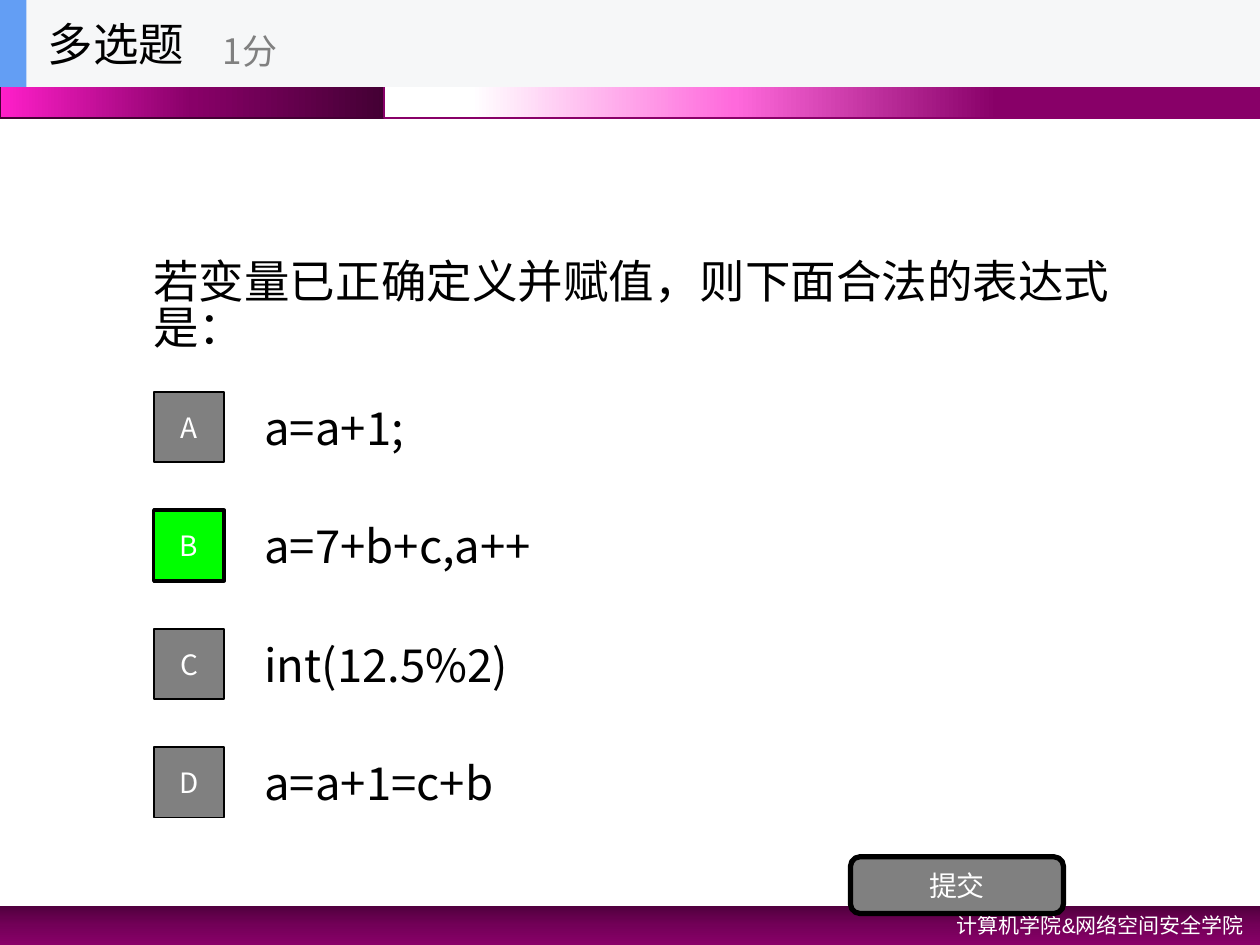
import dataclasses
import typing

import lxml.etree
import pptx
import pptx.dml.color
import pptx.enum.shapes
import pptx.enum.text
import pptx.oxml.ns
import pptx.util

Inches = pptx.util.Inches
Shapes = pptx.enum.shapes.MSO_SHAPE
Align = pptx.enum.text.PP_ALIGN
Anchor = pptx.enum.text.MSO_ANCHOR
qn = pptx.oxml.ns.qn

FONT = "Noto Sans CJK SC"
COLORS = {
    "black": "000000",
    "white": "FFFFFF",
    "gray": "808080",
    "correct": "00FF00",
    "header": "F6F7F8",
    "accent": "639EF4",
    "plum": "880068",
    "dark_plum": "440034",
    "deep_plum": "51003E",
    "mid_plum": "730058",
    "magenta": "FF1FCA",
    "pink": "FF69DC",
}
OPTION_TOP = 3.04
OPTION_STEP = 0.94


class Box(typing.NamedTuple):
    left: float
    top: float
    width: float
    height: float

    def lengths(self) -> list:
        return [Inches(value) for value in self]


@dataclasses.dataclass
class Band:
    box: Box
    stops: list
    angle: int
    line: str | None = None


@dataclasses.dataclass
class Option:
    letter: str
    answer: str
    fill: str = "gray"
    line_width: float = 1


BANDS = [
    Band(Box(0, 7.19, 10, 0.31), [(0, "deep_plum"), (50, "mid_plum"), (100, "plum")], 90),
    Band(Box(0, 0, 3.05, 0.94), [(0, "dark_plum"), (50, "plum"), (100, "magenta")], 180, "dark_plum"),
    Band(Box(3.05, 0, 6.95, 0.94), [(30, "plum"), (60, "pink"), (90, "white")], 180, "plum"),
]
OPTIONS = [
    Option("A", "a=a+1;"),
    Option("B", "a=7+b+c,a++", "correct", 2),
    Option("C", "int(12.5%2)"),
    Option("D", "a=a+1=c+b"),
]


def rgb(color: str) -> pptx.dml.color.RGBColor:
    return pptx.dml.color.RGBColor.from_string(COLORS[color])


def write_text(shape, text: str, *, size: float, color: str = "black", font: str = FONT,
               align=Align.LEFT, anchor=Anchor.MIDDLE, line_spacing: float | None = None) -> None:
    frame = shape.text_frame
    frame.word_wrap = True
    frame.auto_size = pptx.enum.text.MSO_AUTO_SIZE.NONE
    frame.vertical_anchor = anchor
    paragraph = frame.paragraphs[0]
    paragraph.alignment = align
    paragraph.line_spacing = line_spacing
    run = paragraph.add_run()
    run.text = text
    run.font.size = pptx.util.Pt(size)
    run.font.name = font
    run.font.color.rgb = rgb(color)
    properties = run.font._element
    lxml.etree.SubElement(properties, qn("a:ea")).set("typeface", FONT)


def add_text(slide, box: Box, text: str, **text_format) -> None:
    write_text(slide.shapes.add_textbox(*box.lengths()), text, **text_format)


def add_block(slide, box: Box, *, fill: str | None = None, line: str | None = None,
              line_width: float = 1, kind=Shapes.RECTANGLE):
    shape = slide.shapes.add_shape(kind, *box.lengths())
    shape.shadow.inherit = False
    if fill:
        shape.fill.solid()
        shape.fill.fore_color.rgb = rgb(fill)
    if line:
        shape.line.color.rgb = rgb(line)
        shape.line.width = pptx.util.Pt(line_width)
    else:
        shape.line.fill.background()
    return shape


def add_band(slide, band: Band) -> None:
    shape = add_block(slide, band.box, line=band.line)
    shape.fill.gradient()
    shape.fill.gradient_angle = 360 - band.angle
    stop_list = shape.element.spPr.find(qn("a:gradFill")).find(qn("a:gsLst"))
    for stop in list(stop_list):
        stop_list.remove(stop)
    for position, color in band.stops:
        stop = lxml.etree.SubElement(stop_list, qn("a:gs"))
        stop.set("pos", str(position * 1000))
        lxml.etree.SubElement(stop, qn("a:srgbClr")).set("val", COLORS[color])


def add_option(slide, option: Option, top: float) -> None:
    add_text(slide, Box(2, top, 7, 0.7), option.answer, size=26)
    badge = add_block(slide, Box(1.22, top + 0.07, 0.56, 0.56), fill=option.fill,
                      line="black", line_width=option.line_width)
    write_text(badge, option.letter, size=16, color="white", align=Align.CENTER)


def add_header(slide) -> None:
    add_block(slide, Box(0, 0, 10, 0.69), fill="header")
    add_block(slide, Box(0, 0, 0.21, 0.69), fill="accent")
    title = slide.shapes.title
    title.left, title.top, title.width, title.height = Box(0.28, 0, 2.08, 0.69).lengths()
    write_text(title, "多选题", size=26)
    title.element.getparent().append(title.element)
    add_text(slide, Box(1.67, 0.12, 2.5, 0.56), "1分", size=20, color="gray")


def main() -> None:
    presentation = pptx.Presentation()
    presentation.slide_width = Inches(10)
    presentation.slide_height = Inches(7.5)
    slide = presentation.slides.add_slide(presentation.slide_layouts[5])

    for band in BANDS:
        add_band(slide, band)
    add_text(slide, Box(6.42, 7.19, 3.55, 0.3), "计算机学院&网络空间安全学院", size=12,
             color="white", font="Arial", align=Align.RIGHT, anchor=Anchor.TOP)
    add_text(slide, Box(1.12, 1.27, 8, 2.34), "若变量已正确定义并赋值，则下面合法的表达式是：",
             size=26, line_spacing=0.85)
    for index, option in enumerate(OPTIONS):
        add_option(slide, option, OPTION_TOP + index * OPTION_STEP)
    submit = add_block(slide, Box(6.75, 6.8, 1.69, 0.45), fill="gray", line="black",
                       line_width=3, kind=Shapes.ROUNDED_RECTANGLE)
    write_text(submit, "提交", size=16, color="white", align=Align.CENTER)
    add_header(slide)

    presentation.save("out.pptx")


if __name__ == "__main__":
    main()
